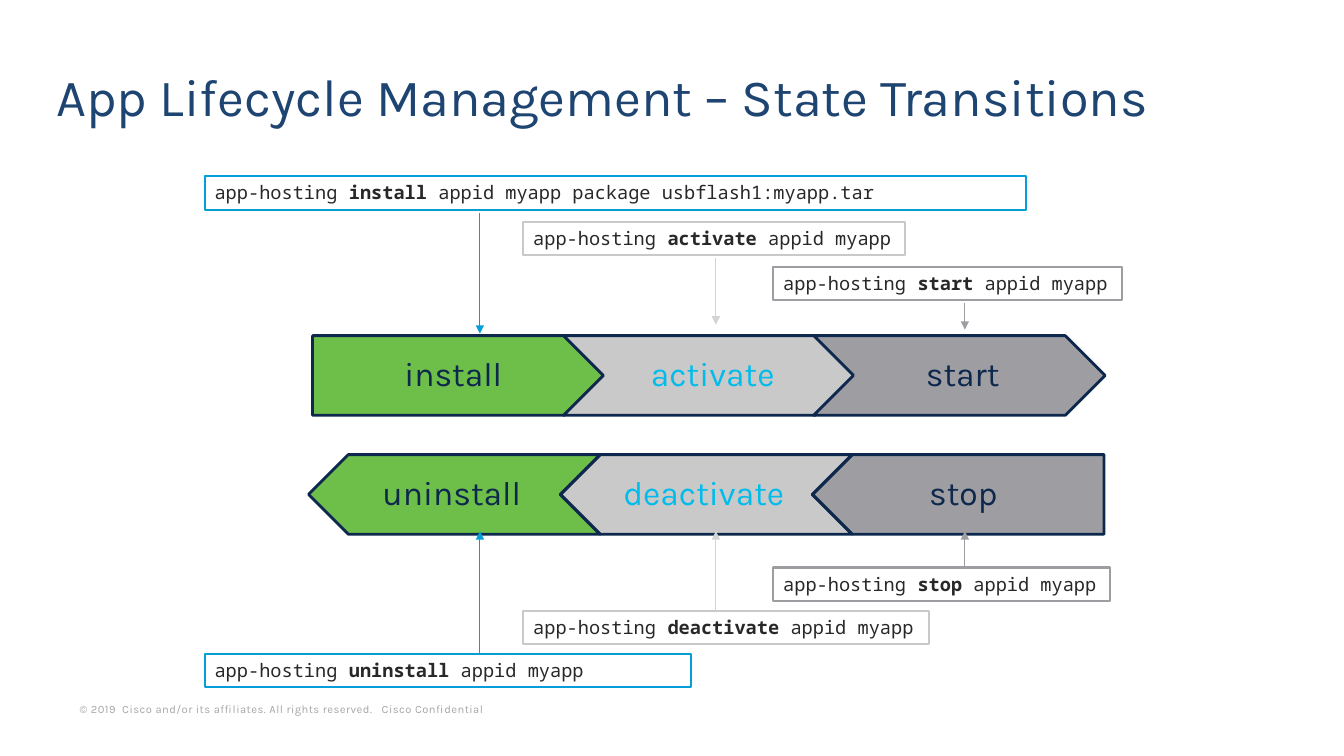
from lxml import etree
from pptx import Presentation
from pptx import util as u
from pptx.dml.color import RGBColor
from pptx.enum import shapes, text
from pptx.oxml.ns import qn

PX = 9144  # 100 px to the inch

NAVY = RGBColor(0x0D, 0x27, 0x4D)
TITLE_BLUE = RGBColor(0x1E, 0x44, 0x71)
CYAN = RGBColor(0x00, 0xBC, 0xEB)
BLUE = RGBColor(0x04, 0x9F, 0xD9)
GREEN = RGBColor(0x6E, 0xBE, 0x4A)
LIGHT = RGBColor(0xC9, 0xC9, 0xC9)
PALE = RGBColor(0xD4, 0xD4, 0xD4)
GRAY = RGBColor(0x9E, 0x9E, 0xA2)
INK = RGBColor(0x28, 0x28, 0x28)
FOOTER = RGBColor(0xA6, 0xA6, 0xA6)

prs = Presentation()
prs.slide_width, prs.slide_height = 1333 * PX, 750 * PX
s = prs.slides.add_slide(prs.slide_layouts[6])


def px(*lengths):
    return [n * PX for n in lengths]


def add_label(box, words, size, color, insets, anchor, spacing=1.0):
    tf = s.shapes.add_textbox(*px(*box)).text_frame
    tf.word_wrap = True
    tf.vertical_anchor = anchor
    tf.margin_left, tf.margin_top, tf.margin_right, tf.margin_bottom = px(*insets)
    p = tf.paragraphs[0]
    p.text = words
    p.line_spacing = spacing
    p.font.name, p.font.size, p.font.color.rgb = "Karla", u.Pt(size), color
    return p


# Footer and title
p = add_label((70, 691, 496, 23),
              "© 2019  Cisco and/or its affiliates. All rights reserved.   Cisco Confidential",
              8, FOOTER, (9, 4, 9, 4), text.MSO_ANCHOR.BOTTOM)
p.runs[0]._r.get_or_add_rPr().set("spc", "30")
add_label((46, 47, 1270, 107), "App Lifecycle Management – State Transitions",
          37.3, TITLE_BLUE, (10, 5, 10, 5), text.MSO_ANCHOR.MIDDLE, 0.8)

# State arrows: the lower row points left and is stacked from the right
PLATE, CHEVRON = shapes.MSO_SHAPE.PENTAGON, shapes.MSO_SHAPE.CHEVRON
states = [  # name, outline, left, top, rotation, fill, text colour
    ("stop", PLATE, 806, 451, 180, GRAY, NAVY),
    ("deactivate", CHEVRON, 556, 451, 180, LIGHT, CYAN),
    ("uninstall", CHEVRON, 306, 451, 180, GREEN, NAVY),
    ("install", PLATE, 310, 333, 0, GREEN, NAVY),
    ("activate", CHEVRON, 559, 333, 0, LIGHT, CYAN),
    ("start", CHEVRON, 807, 333, 0, GRAY, NAVY),
]
for name, outline, left, top, rotation, fill, color in states:
    sp = s.shapes.add_shape(outline, *px(left, top, 289, 79))
    sp.shadow.inherit = False
    sp.rotation = rotation
    sp.fill.solid()
    sp.fill.fore_color.rgb = fill
    sp.line.color.rgb, sp.line.width = NAVY, u.Pt(2)

    if outline == PLATE:
        offset, width, wide = (20 if rotation else 0), 269, 14
    else:
        offset, width, wide = 40, 210, 10
    insets = (4, 7, wide, 7) if rotation else (wide, 7, 4, 7)
    p = add_label((left + offset, top, width, 79), name, 24, color, insets,
                  text.MSO_ANCHOR.MIDDLE, 0.9)
    p.alignment = text.PP_ALIGN.CENTER

# Commands, each with an arrow to its state
commands = [  # verb, rest, left, top, width, box line, arrow line, x, from y, to y
    ("install", " appid myapp package usbflash1:myapp.tar",
     203, 175, 815, BLUE, BLUE, 476, 211, 331),
    ("activate", " appid myapp", 519, 220, 379, LIGHT, PALE, 710, 256, 322),
    ("start", " appid myapp", 767, 265, 346, GRAY, GRAY, 957, 301, 327),
    ("uninstall", " appid myapp", 203, 649, 482, BLUE, BLUE, 476, 649, 527),
    ("deactivate", " appid myapp", 519, 606, 402, LIGHT, PALE, 710, 606, 527),
    ("stop", " appid myapp", 767, 563, 334, GRAY, GRAY, 957, 563, 527),
]
for verb, rest, left, top, width, border, arrow, x, start, end in commands:
    sp = s.shapes.add_shape(shapes.MSO_SHAPE.RECTANGLE, *px(left, top, width, 33))
    sp.shadow.inherit = False
    sp.fill.background()
    sp.line.color.rgb, sp.line.width = border, u.Pt(1.5)
    tf = sp.text_frame
    tf.word_wrap = True
    tf.vertical_anchor = text.MSO_ANCHOR.TOP
    p = tf.paragraphs[0]
    p.alignment = text.PP_ALIGN.LEFT
    p.font.name, p.font.size, p.font.color.rgb = "Noto Sans Mono", u.Pt(13.3), INK
    for part in ("app-hosting ", verb, rest):
        r = p.add_run()
        r.text = part
        r.font.bold = part == verb

    line = s.shapes.add_connector(shapes.MSO_CONNECTOR.STRAIGHT, *px(x, start, x, end))
    line.line.color.rgb, line.line.width = arrow, u.Pt(0.75)
    etree.SubElement(line.line._get_or_add_ln(), qn("a:tailEnd"), type="triangle")
    etree.SubElement(line._element.spPr, qn("a:effectLst"))

prs.save("out.pptx")
